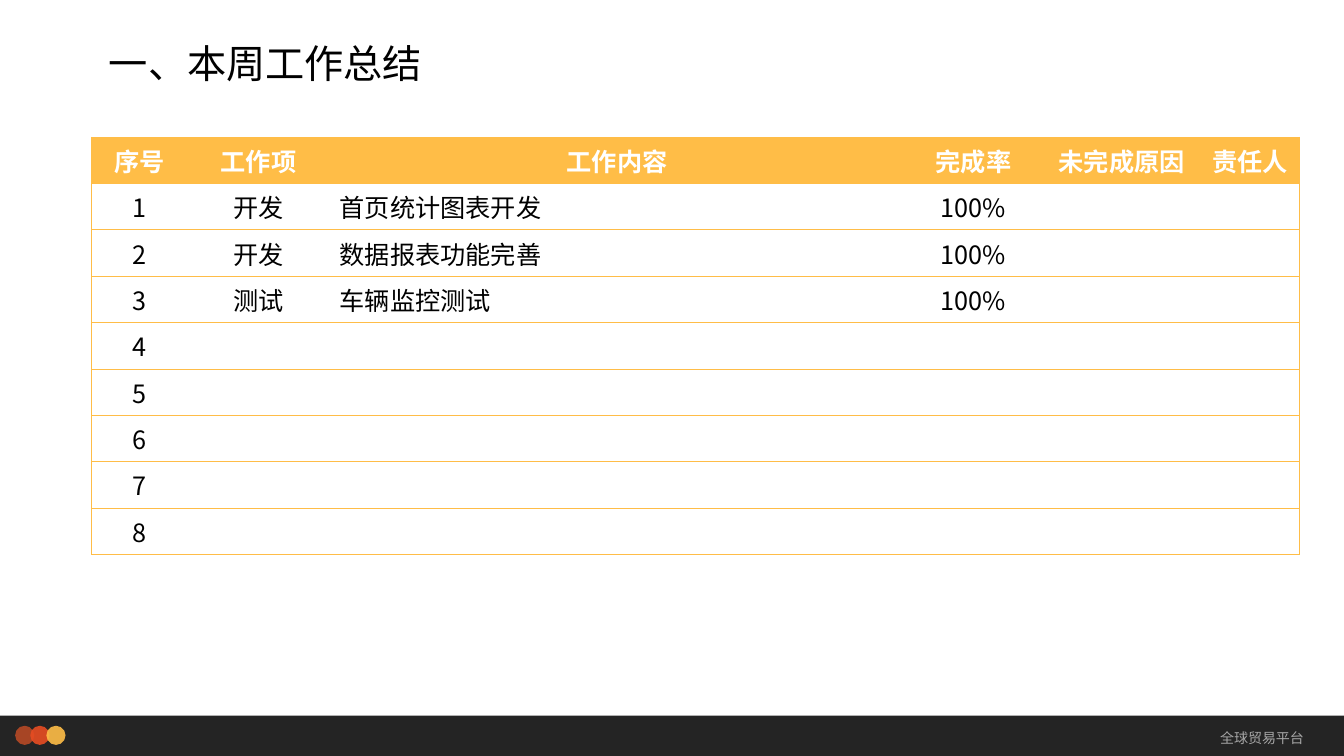
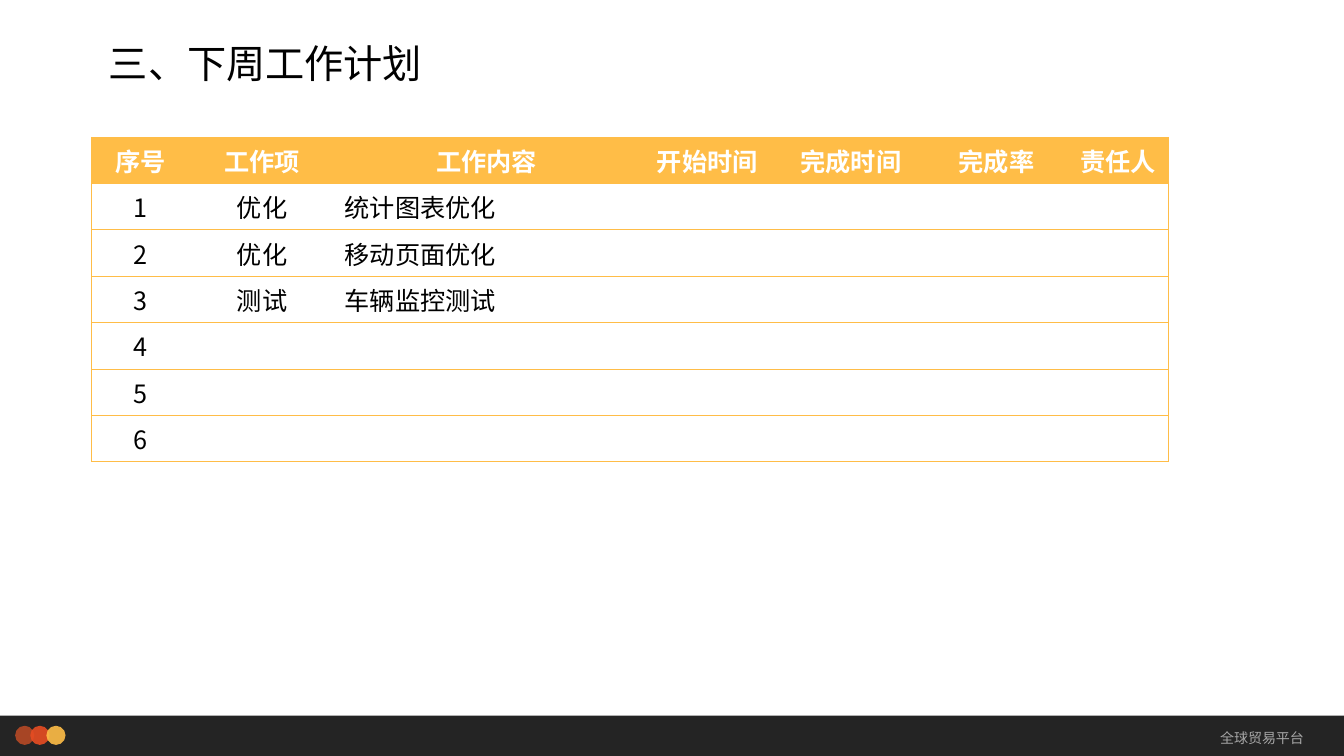
"""Build the weekly summary and next-week plan slides."""
from dataclasses import dataclass

import pptx
import pptx.dml.color
import pptx.enum.shapes
import pptx.enum.text
import pptx.oxml
import pptx.oxml.ns
import pptx.util

Inches = pptx.util.Inches
Pt = pptx.util.Pt
RGBColor = pptx.dml.color.RGBColor
MSO_SHAPE = pptx.enum.shapes.MSO_SHAPE
MSO_ANCHOR = pptx.enum.text.MSO_ANCHOR
PP_ALIGN = pptx.enum.text.PP_ALIGN
qn = pptx.oxml.ns.qn

FONT = "Noto Sans CJK SC"
BLACK = RGBColor(0x00, 0x00, 0x00)
WHITE = RGBColor(0xFF, 0xFF, 0xFF)
BAND = RGBColor(0x0D, 0x0D, 0x0D)
RUST = RGBColor(0xB6, 0x49, 0x26)
RED = RGBColor(0xE8, 0x4C, 0x22)
AMBER = RGBColor(0xFF, 0xBD, 0x47)
GREY = RGBColor(0xA6, 0xA6, 0xA6)

FOOTER = "全球贸易平台"
TABLE_LEFT = 0.91
TABLE_TOP = 1.36
ROW_HEIGHT = 0.46
CONTENT_COLUMN = 2


@dataclass(frozen=True)
class FooterShape:
    kind: MSO_SHAPE
    left: float
    top: float
    width: float
    height: float
    color: RGBColor


@dataclass(frozen=True)
class Column:
    header: str
    width: float


@dataclass(frozen=True)
class WorkPage:
    title: str
    columns: tuple[Column, ...]
    items: tuple[tuple[str, ...], ...]
    row_count: int


FOOTER_SHAPES = (
    FooterShape(MSO_SHAPE.RECTANGLE, 0, 7.1, 13.33, 0.4, BAND),
    *(FooterShape(MSO_SHAPE.OVAL, left, 7.2, 0.19, 0.19, color)
      for left, color in ((0.15, RUST), (0.3, RED), (0.46, AMBER))),
)

PAGES = (
    WorkPage(
        "一、本周工作总结",
        (Column("序号", 0.95), Column("工作项", 1.41), Column("工作内容", 5.7),
         Column("完成率", 1.37), Column("未完成原因", 1.57), Column("责任人", 0.98)),
        (("开发", "首页统计图表开发", "100%"),
         ("开发", "数据报表功能完善", "100%"),
         ("测试", "车辆监控测试", "100%")),
        8,
    ),
    WorkPage(
        "三、下周工作计划",
        (Column("序号", 0.97), Column("工作项", 1.44), Column("工作内容", 3.01),
         Column("开始时间", 1.37), Column("完成时间", 1.48), Column("完成率", 1.41),
         Column("责任人", 1)),
        (("优化", "统计图表优化"),
         ("优化", "移动页面优化"),
         ("测试", "车辆监控测试")),
        6,
    ),
)


def format_text(p, size: float, color: RGBColor, align: PP_ALIGN, bold: bool = False) -> None:
    p.alignment = align
    for r in p.runs:
        r.font.size = Pt(size)
        r.font.bold = bold
        r.font.name = FONT
        r.font.color.rgb = color
        ea = r.font._element.makeelement(qn("a:ea"), {"typeface": FONT})
        r.font._element.find(qn("a:latin")).addnext(ea)


def add_footer(slide) -> None:
    for item in FOOTER_SHAPES:
        sp = slide.shapes.add_shape(
            item.kind, Inches(item.left), Inches(item.top),
            Inches(item.width), Inches(item.height))
        sp.shadow.inherit = False
        sp.line.fill.background()
        sp.fill.solid()
        sp.fill.fore_color.rgb = item.color
        clr = sp._element.spPr.find(qn("a:solidFill")).find(qn("a:srgbClr"))
        clr.append(clr.makeelement(qn("a:alpha"), {"val": "90000"}))
    sp = slide.shapes.add_textbox(Inches(10.77), Inches(7.1), Inches(2.26), Inches(0.44))
    tf = sp.text_frame
    tf.word_wrap = True
    tf.vertical_anchor = MSO_ANCHOR.MIDDLE
    tf.text = FOOTER
    format_text(tf.paragraphs[0], 10, GREY, PP_ALIGN.RIGHT)


def set_title(slide, text: str) -> None:
    sp = slide.shapes.title
    sp.left, sp.top = Inches(0.98), Inches(0.15)
    sp.width, sp.height = Inches(10), Inches(0.76)
    tf = sp.text_frame
    tf.auto_size = pptx.enum.text.MSO_AUTO_SIZE.NONE
    tf.vertical_anchor = MSO_ANCHOR.BOTTOM
    tf.text = text
    p = tf.paragraphs[0]
    p.line_spacing = 0.9
    format_text(p, 28, BLACK, PP_ALIGN.LEFT)


def set_borders(cell, first: bool, last: bool) -> None:
    tc_pr = cell._tc.get_or_add_tcPr()
    for side, shown in (("L", first), ("R", last), ("T", True), ("B", True)):
        fill = f'<a:solidFill><a:srgbClr val="{AMBER}"/></a:solidFill>' if shown else "<a:noFill/>"
        tc_pr.append(pptx.oxml.parse_xml(
            f'<a:ln{side} {pptx.oxml.ns.nsdecls("a")} w="{Pt(0.5)}">{fill}</a:ln{side}>'))


def add_work_table(slide, page: WorkPage) -> None:
    headers = tuple(column.header for column in page.columns)
    rows = [headers]
    for i in range(page.row_count):
        item = page.items[i] if i < len(page.items) else ()
        rows.append((str(i + 1), *item))
    table = slide.shapes.add_table(
        len(rows), len(headers), Inches(TABLE_LEFT), Inches(TABLE_TOP),
        Inches(sum(column.width for column in page.columns)),
        Inches(ROW_HEIGHT * len(rows))).table
    table.horz_banding = False
    for column, spec in zip(table.columns, page.columns):
        column.width = Inches(spec.width)
    for i, values in enumerate(rows):
        is_header = i == 0
        table.rows[i].height = Inches(ROW_HEIGHT)
        for j in range(len(headers)):
            cell = table.cell(i, j)
            set_borders(cell, j == 0, j == len(headers) - 1)
            if is_header:
                cell.fill.solid()
                cell.fill.fore_color.rgb = AMBER
            else:
                cell.fill.background()
            if j < len(values):
                cell.text_frame.text = values[j]
                left_aligned = j == CONTENT_COLUMN and not is_header
                format_text(
                    cell.text_frame.paragraphs[0], 18, WHITE if is_header else BLACK,
                    PP_ALIGN.LEFT if left_aligned else PP_ALIGN.CENTER, is_header)


def main() -> None:
    prs = pptx.Presentation()
    prs.slide_width, prs.slide_height = Inches(13.33), Inches(7.5)
    title_only = prs.slide_layouts.get_by_name("Title Only")
    for page in PAGES:
        slide = prs.slides.add_slide(title_only)
        add_footer(slide)
        set_title(slide, page.title)
        add_work_table(slide, page)
    prs.save("out.pptx")


main()
